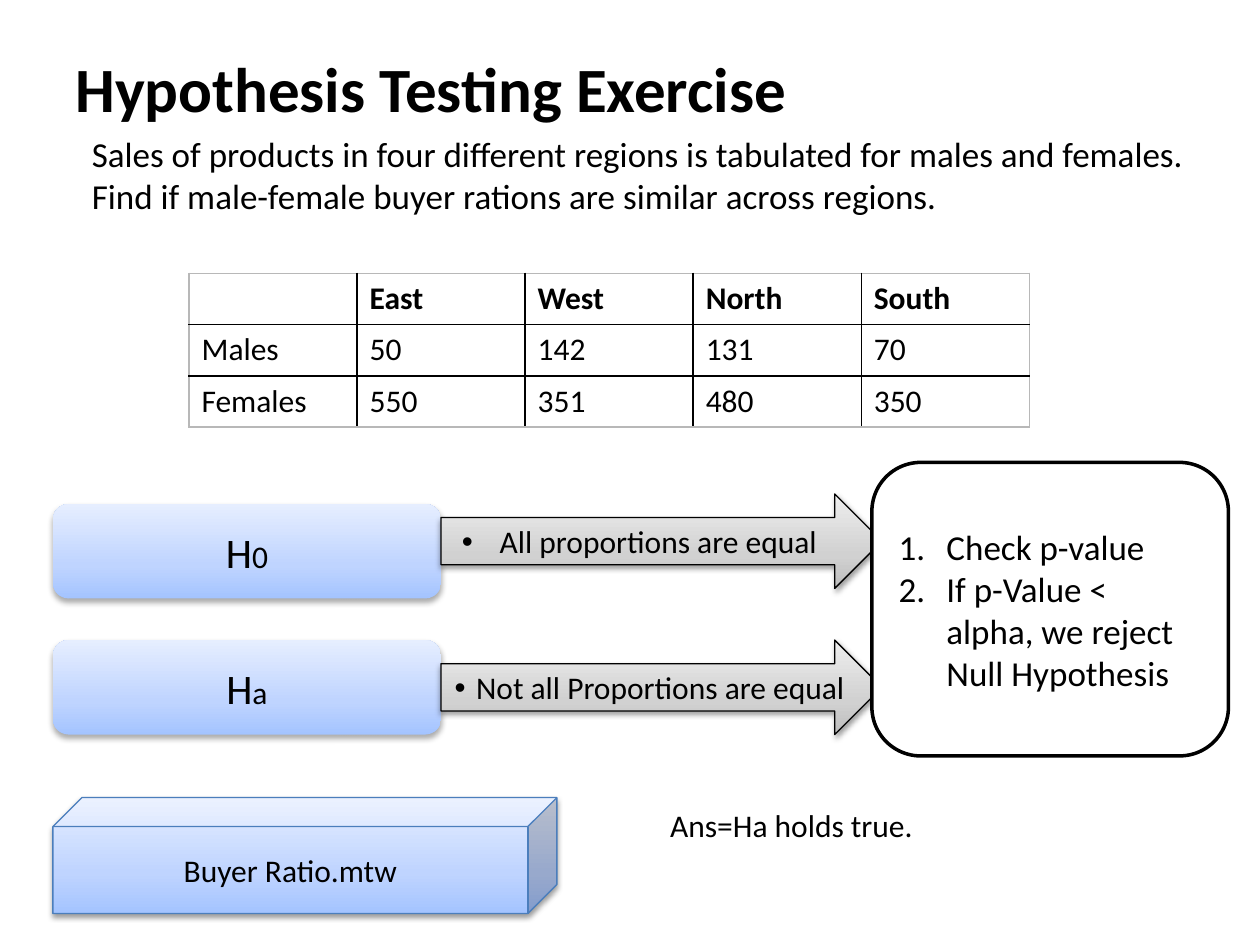
from lxml.etree import SubElement
from pptx import Presentation
from pptx.dml.color import RGBColor
from pptx.enum.shapes import MSO_SHAPE
from pptx.enum.text import MSO_ANCHOR, PP_ALIGN
from pptx.oxml.ns import qn
from pptx.util import Emu, Inches, Pt

BLUE = ((0, "A4C4FF"), (35, "BFD4FF"), (100, "E6EEFF"))
GREY = ((0, "BDBDBD"), (35, "D1D1D1"), (100, "EEEEEE"))
SOFT = (32, 3.5, 2.2)
FIRM = (38, 3.1, 1.6)


def color(text):
    return RGBColor.from_string(text)


def add(node, tag, **attrs):
    return SubElement(node, qn(tag), {k: str(v) for k, v in attrs.items()})


class Deck:
    font = "Calibri"
    ink = "000000"

    def __init__(self, slide):
        self.slide = slide

    def style(self, para, size, bold=False, align=PP_ALIGN.LEFT):
        para.alignment = align
        for run in para.runs:
            run.font.name = self.font
            run.font.size = Pt(size)
            run.font.bold = bold
            run.font.color.rgb = color(self.ink)

    def fill_text(self, frame, lines, size, bold=False,
                  align=PP_ALIGN.LEFT, anchor=MSO_ANCHOR.MIDDLE):
        frame.word_wrap = True
        frame.vertical_anchor = anchor
        for i, line in enumerate(lines):
            para = frame.paragraphs[0] if i == 0 else frame.add_paragraph()
            para.text = line
            self.style(para, size, bold, align)
        return frame

    def text(self, box, line, size, bold=False, anchor=MSO_ANCHOR.TOP):
        shape = self.slide.shapes.add_textbox(*map(Inches, box))
        return self.fill_text(shape.text_frame, [line], size, bold, anchor=anchor)

    def indent(self, para, left, first=0, mark=None):
        props = para._p.get_or_add_pPr()
        props.set("marL", str(Inches(left)))
        props.set("indent", str(Inches(first)))
        if mark == "1.":
            add(props, "a:buFont", typeface="+mj-lt")
            add(props, "a:buAutoNum", type="arabicPeriod")
        elif mark:
            add(props, "a:buFont", typeface="Arial")
            add(props, "a:buChar", char=mark)

    def shape(self, kind, box, lines, size, stops=None, line=None, width=0.75,
              shadow=None, align=PP_ALIGN.CENTER):
        shape = self.slide.shapes.add_shape(kind, *map(Inches, box))
        shape.shadow.inherit = False
        if stops:
            self.blend(shape, stops)
        else:
            shape.fill.solid()
            shape.fill.fore_color.rgb = color("FFFFFF")
        if line:
            shape.line.color.rgb = color(line)
            shape.line.width = Pt(width)
        else:
            shape.line.fill.background()
        if shadow:
            self.shade(shape, *shadow)
        return self.fill_text(shape.text_frame, lines, size, align=align)

    def blend(self, shape, stops):
        shape.fill.gradient()
        shape.fill.gradient_angle = 90
        group = shape._element.spPr.find(".//" + qn("a:gsLst"))
        for old in list(group):
            group.remove(old)
        for place, tone in stops:
            stop = add(group, "a:gs", pos=place * 1000)
            add(stop, "a:srgbClr", val=tone)

    def shade(self, shape, alpha, blur, dist):
        effects = shape._element.spPr.find(qn("a:effectLst"))
        outer = add(effects, "a:outerShdw", blurRad=Pt(blur), dist=Pt(dist),
                    dir=5400000, rotWithShape=0)
        add(add(outer, "a:srgbClr", val="000000"), "a:alpha", val=alpha * 1000)

    def border(self, cell, edges):
        props = cell._tc.get_or_add_tcPr()
        for i, (side, tone) in enumerate(edges):
            line = add(props, "a:ln" + side, w=Pt(1))
            add(add(line, "a:solidFill"), "a:srgbClr", val=tone)
            props.remove(line)
            props.insert(i, line)

    def table(self, box, rows):
        down, across = len(rows), len(rows[0])
        frame = self.slide.shapes.add_table(down, across, *map(Inches, box))
        grid = frame.table
        grid.first_row = grid.horz_banding = False
        for col in grid.columns:
            col.width = Emu(Inches(box[2]) // across)
        for r, row in enumerate(rows):
            grid.rows[r].height = Emu(Inches(box[3]) // down)
            for c, value in enumerate(row):
                cell = grid.cell(r, c)
                cell.fill.background()
                outer = (c == 0, c == across - 1, r == 0, r == down - 1)
                self.border(cell, [(side, "B8B8B8" if out else self.ink)
                                   for side, out in zip("LRTB", outer)])
                cell.text_frame.text = value
                self.style(cell.text_frame.paragraphs[0], 18, r == 0)


deck = Presentation()
deck.slide_width, deck.slide_height = Inches(10), Inches(7.5)
page = Deck(deck.slides.add_slide(deck.slide_layouts[6]))

# Title and task
page.text((0.5, 0.3, 9, 0.78), "Hypothesis Testing Exercise", 36, True,
          MSO_ANCHOR.MIDDLE)
task = page.text((0.25, 1, 9.58, 6.5),
                 "Sales of products in four different regions is tabulated for "
                 "males and females. Find if male-female buyer rations are "
                 "similar across regions.", 20).paragraphs[0]
task.space_before = Pt(4)
page.indent(task, 0.38)

# Sales by region
page.table((1.5, 2.17, 6.67, 1.22), [
    ["", "East", "West", "North", "South"],
    ["Males", "50", "142", "131", "70"],
    ["Females", "550", "351", "480", "350"]])

# Hypotheses
for top, sign in ((4, "0"), (5.08, "a")):
    label = page.shape(MSO_SHAPE.ROUNDED_RECTANGLE, (0.42, top, 3.08, 0.75),
                       ["H"], 24, BLUE, shadow=SOFT).paragraphs[0]
    label.add_run().text = sign
    page.style(label, 24, align=PP_ALIGN.CENTER)
    label.runs[1].font.size = Pt(18)

# Claims: top, wording, hanging indent, right inset
for top, claim, hang, inset in (
        (3.92, "All proportions are equal", 0.3, 0.26),
        (5.08, "Not all Proportions are equal", 0.17, 0.1)):
    frame = page.shape(MSO_SHAPE.RIGHT_ARROW, (3.5, top, 3.5, 0.75), [claim],
                       18, GREY, "000000", shadow=FIRM)
    frame.margin_right = Inches(inset)
    page.indent(frame.paragraphs[0], hang, -hang, "•")

# Decision steps
steps = page.shape(MSO_SHAPE.ROUNDED_RECTANGLE, (6.92, 3.67, 2.83, 2.33),
                   ["Check p-value",
                    "If p-Value < alpha, we reject Null Hypothesis"],
                   20, line="000000", width=2, align=PP_ALIGN.LEFT)
for step in steps.paragraphs:
    page.indent(step, 0.38, -0.38, "1.")

# Data file and answer
page.shape(MSO_SHAPE.CUBE, (0.42, 6.33, 4, 0.92), ["Buyer Ratio.mtw"], 18,
           BLUE, "4B7EBC", shadow=FIRM)
page.text((5.22, 6.35, 3.85, 0.4), "Ans=Ha holds true.", 18)

deck.save("out.pptx")
